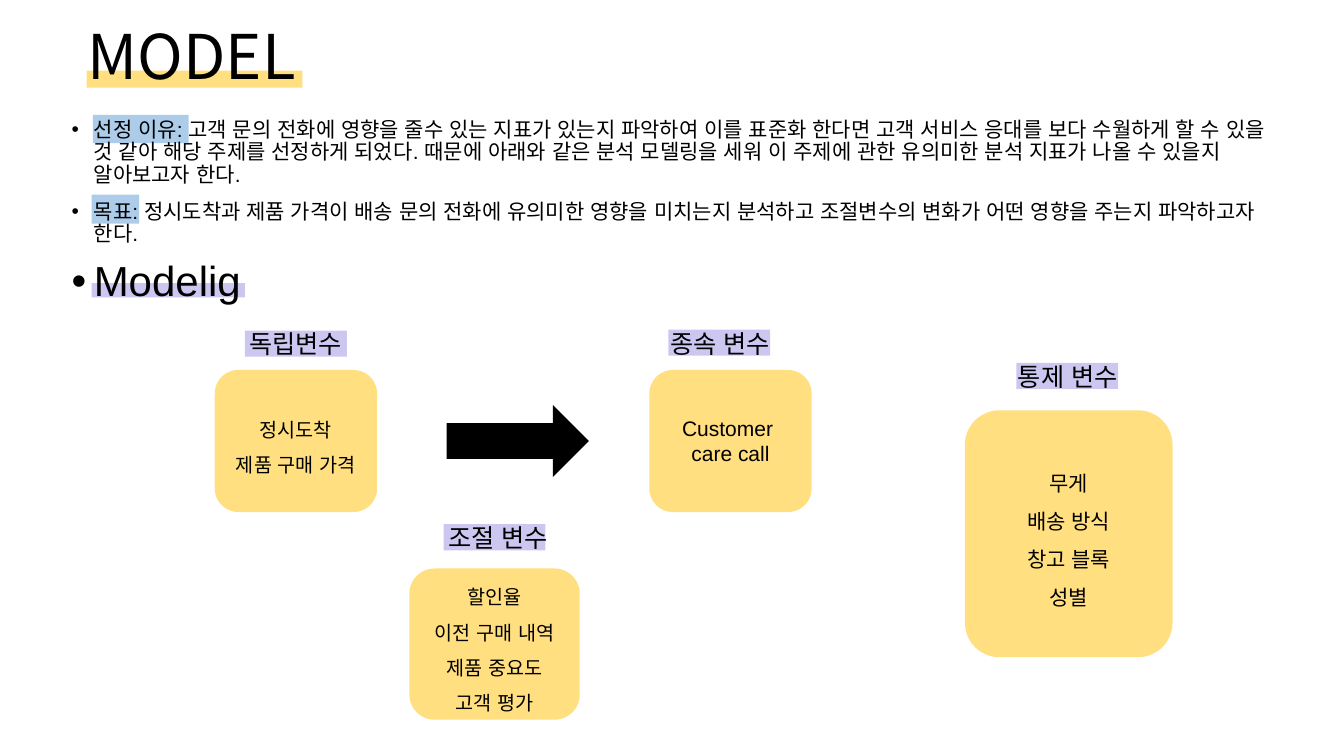
"""Build the MODEL slide: reasons, goal and a diagram of the variables."""
from lxml import etree
from pptx import Presentation
from pptx.dml.color import RGBColor
from pptx.enum.shapes import MSO_SHAPE
from pptx.enum.text import MSO_ANCHOR, MSO_AUTO_SIZE, PP_ALIGN
from pptx.oxml.ns import qn
from pptx.util import Inches, Pt

RECTANGLE = MSO_SHAPE.RECTANGLE
ROUNDED = MSO_SHAPE.FLOWCHART_ALTERNATE_PROCESS
RIGHT_ARROW = MSO_SHAPE.RIGHT_ARROW
MIDDLE = MSO_ANCHOR.MIDDLE
TOP = MSO_ANCHOR.TOP
NO_FIT = MSO_AUTO_SIZE.NONE
LEFT = PP_ALIGN.LEFT
CENTER = PP_ALIGN.CENTER

BLACK = RGBColor(0x00, 0x00, 0x00)
BLUE = RGBColor(0x5B, 0x9B, 0xD5)
PURPLE = RGBColor(0x9B, 0x91, 0xE3)
GOLD = RGBColor(0xFF, 0xC0, 0x00)


def add_block(kind, place, color, opacity=50):
    block = slide.shapes.add_shape(kind, *map(Inches, place))
    block.shadow.inherit = False
    block.line.fill.background()
    block.fill.solid()
    block.fill.fore_color.rgb = color
    if opacity < 100:
        tint = block.fill._xPr.find(".//" + qn("a:srgbClr"))
        etree.SubElement(tint, qn("a:alpha"), val=str(opacity * 1000))
    return block


def write(frame, lines, size, align=CENTER, spacing=1.0, anchor=MIDDLE, font="Arial"):
    frame.word_wrap = True
    frame.auto_size = NO_FIT
    frame.vertical_anchor = anchor
    for index, line in enumerate(lines):
        paragraph = frame.add_paragraph() if index else frame.paragraphs[0]
        paragraph.alignment = align
        paragraph.line_spacing = spacing
        paragraph.space_before = Pt(0)
        run = paragraph.add_run()
        run.text = line
        run.font.size = Pt(size)
        run.font.color.rgb = BLACK
        run.font.name = font
        etree.SubElement(run.font._element, qn("a:ea"), typeface=font)


deck = Presentation()
deck.slide_width, deck.slide_height = Inches(13.33), Inches(7.5)
slide = deck.slides.add_slide(deck.slide_layouts[1])

highlights = [
    ((0.92, 1.14, 0.95, 0.28), BLUE),
    ((0.91, 1.93, 0.47, 0.29), BLUE),
    ((0.91, 2.81, 1.52, 0.14), PURPLE),
    ((0.86, 0.7, 2.14, 0.17), GOLD),
]
for place, color in highlights:
    add_block(RECTANGLE, place, color)

title, body = slide.placeholders
placements = [(title, (0.77, 0.2, 2.64, 0.78)), (body, (0.58, 1.13, 12.16, 1.71))]
for holder, place in placements:
    holder.left, holder.top, holder.width, holder.height = map(Inches, place)
    slide.shapes.element.append(holder.element)

write(title.text_frame, ["MODEL"], 44, LEFT, 0.9, font="Noto Sans CJK KR")
points = [
    "선정 이유: 고객 문의 전화에 영향을 줄수 있는 지표가 있는지 파악하여 이를 표준화 한다면 "
    "고객 서비스 응대를 보다 수월하게 할 수 있을  것 같아 해당 주제를 선정하게 되었다. "
    "때문에 아래와 같은 분석 모델링을 세워 이 주제에 관한 유의미한 분석 지표가 나올 수 "
    "있을지 알아보고자 한다.",
    "목표: 정시도착과 제품 가격이 배송 문의 전화에 유의미한 영향을 미치는지 분석하고 "
    "조절변수의 변화가 어떤 영향을 주는지 파악하고자 한다.",
    "Modelig",
]
write(body.text_frame, points, 15, LEFT, 0.9, TOP)
for index, paragraph in enumerate(body.text_frame.paragraphs):
    paragraph.space_before = Pt(10 if index else 0)
    properties = paragraph._p.get_or_add_pPr()
    properties.set("marL", str(Inches(0.25)))
    properties.set("indent", str(Inches(-0.22)))
    etree.SubElement(properties, qn("a:buFont"), typeface="Arial")
    etree.SubElement(properties, qn("a:buChar"), char="•")
body.text_frame.paragraphs[-1].runs[0].font.size = Pt(30)

variables = [
    ("독립변수", (2.43, 3.28), (1.9, 3.07, 2.06, 0.67),
     (2.13, 3.67, 1.61, 1.41), ["정시도착", "제품 구매 가격"], 14, 1.5),
    ("종속 변수", (6.63, 3.27), (6.38, 3.07, 1.52, 0.67),
     (6.44, 3.67, 1.61, 1.41), ["Customer ", "care call"], 15, 1.0),
    ("통제 변수", (10.08, 3.6), (9.83, 3.4, 1.52, 0.67),
     (9.57, 4.07, 2.06, 2.45), ["무게", "배송 방식", "창고 블록", "성별"], 15, 1.5),
    ("조절 변수", (4.4, 5.2), (4.23, 5.08, 1.42, 0.51),
     (4.06, 5.64, 1.69, 1.5), ["할인율", "이전 구매 내역", "제품 중요도", "고객 평가"], 14, 1.5),
]
for name, marker, label_place, box_place, items, size, spacing in variables:
    add_block(RECTANGLE, (*marker, 1.01, 0.26), PURPLE)
    label = slide.shapes.add_textbox(*map(Inches, label_place))
    write(label.text_frame, [name], 18)
    box = add_block(ROUNDED, box_place, GOLD)
    write(box.text_frame, items, size, spacing=spacing)

add_block(RIGHT_ARROW, (4.43, 4.02, 1.41, 0.71), BLACK, 100)

deck.save("out.pptx")
